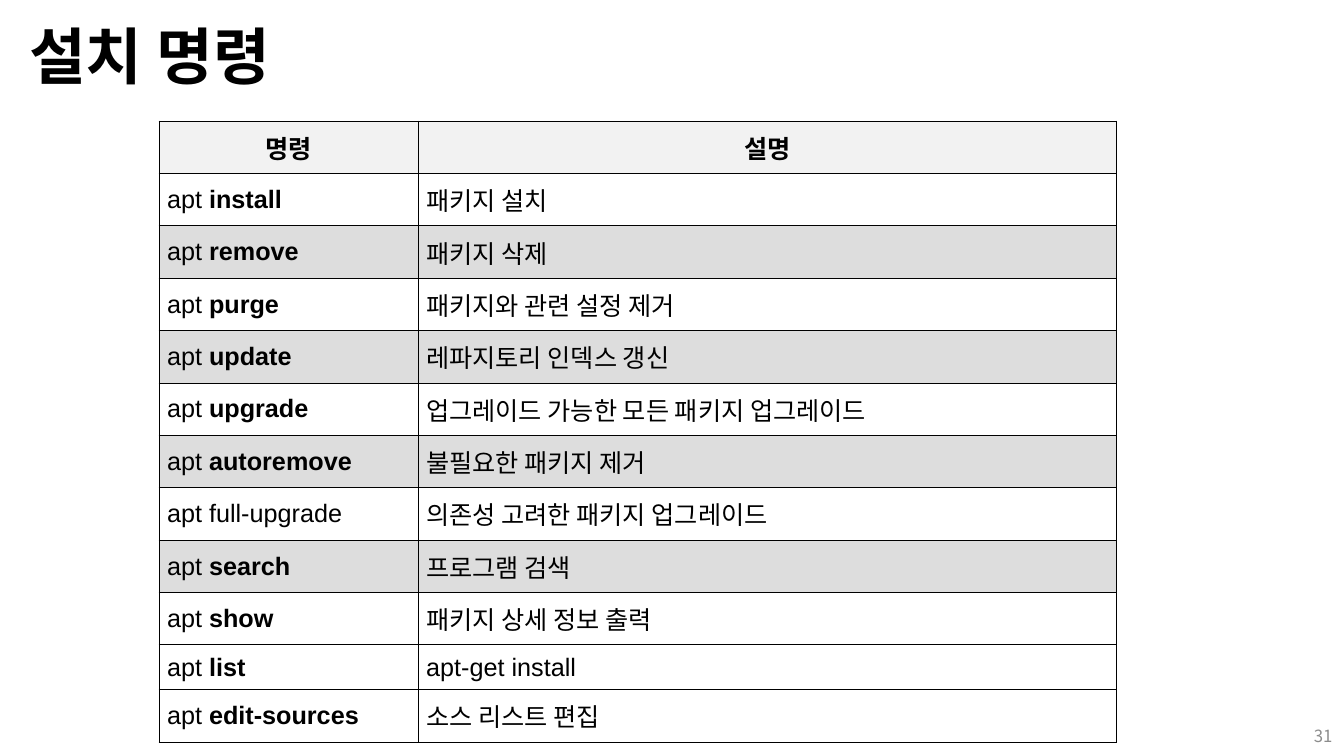
from dataclasses import dataclass

from lxml.etree import SubElement
from pptx import Presentation
from pptx.dml.color import RGBColor
from pptx.enum.text import MSO_ANCHOR as Anchor, MSO_AUTO_SIZE as AutoSize, PP_ALIGN as Align
from pptx.oxml import parse_xml
from pptx.oxml.ns import nsdecls, qn
from pptx.slide import Slide
from pptx.table import _Cell as Cell
from pptx.text.text import _Run as Run
from pptx.util import Cm, Pt


@dataclass(frozen=True)
class Theme:
    latin_font: str = "Arial"
    korean_font: str = "Noto Sans CJK KR"
    title_size: int = 44
    table_size: int = 18
    number_size: int = 12
    ink: str = "000000"
    muted: str = "8C8C8C"
    header_fill: str = "F2F2F2"
    plain_fill: str = "FFFFFF"
    shaded_fill: str = "DDDDDD"
    border: str = "000000"
    border_width: float = 0.75


@dataclass(frozen=True)
class Command:
    name: str
    description: str
    emphasized: bool = True
    shaded: bool = False


THEME = Theme()
COMMANDS = [
    Command("install", "패키지 설치"),
    Command("remove", "패키지 삭제", shaded=True),
    Command("purge", "패키지와 관련 설정 제거"),
    Command("update", "레파지토리 인덱스 갱신", shaded=True),
    Command("upgrade", "업그레이드 가능한 모든 패키지 업그레이드"),
    Command("autoremove", "불필요한 패키지 제거", shaded=True),
    Command("full-upgrade", "의존성 고려한 패키지 업그레이드", emphasized=False),
    Command("search", "프로그램 검색", shaded=True),
    Command("show", "패키지 상세 정보 출력"),
    Command("list", "apt-get install"),
    Command("edit-sources", "소스 리스트 편집"),
]
COLUMN_WIDTHS = [Cm(6.53), Cm(17.6)]
ROW_HEIGHT = Cm(1.13)
CELL_MARGIN = Cm(0.2)


def format_run(run: Run, font_name: str, size: float, color: str, bold: bool = False) -> None:
    run.font.name = font_name
    run.font.size = Pt(size)
    run.font.bold = bold
    run.font.color.rgb = RGBColor.from_string(color)
    SubElement(run.font._element, qn("a:ea")).set("typeface", THEME.korean_font)


def add_borders(cell: Cell) -> None:
    properties = cell._tc.get_or_add_tcPr()
    for position, side in enumerate("LRTB"):
        line = parse_xml(
            f'<a:ln{side} {nsdecls("a")} w="{Pt(THEME.border_width)}">'
            f'<a:solidFill><a:srgbClr val="{THEME.border}"/></a:solidFill></a:ln{side}>'
        )
        properties.insert(position, line)


def fill_cell(cell: Cell, parts: list[tuple[str, bool]], fill: str, align: Align) -> None:
    cell.vertical_anchor = Anchor.MIDDLE
    cell.margin_left = cell.margin_right = CELL_MARGIN
    cell.margin_top = cell.margin_bottom = CELL_MARGIN
    cell.fill.solid()
    cell.fill.fore_color.rgb = RGBColor.from_string(fill)
    add_borders(cell)
    paragraph = cell.text_frame.paragraphs[0]
    paragraph.alignment = align
    for text, bold in parts:
        run = paragraph.add_run()
        run.text = text
        format_run(run, THEME.latin_font, THEME.table_size, THEME.ink, bold)


def add_title(slide: Slide, text: str) -> None:
    title = slide.shapes.title
    title.left, title.top, title.width, title.height = Cm(0.48), Cm(0.48), Cm(32.84), Cm(2.06)
    frame = title.text_frame
    frame.text = text
    frame.auto_size = AutoSize.NONE
    frame.vertical_anchor = Anchor.MIDDLE
    paragraph = frame.paragraphs[0]
    paragraph.alignment = Align.LEFT
    paragraph.line_spacing = 0.9
    format_run(paragraph.runs[0], THEME.korean_font, THEME.title_size, THEME.ink, True)


def add_command_table(slide: Slide, commands: list[Command]) -> None:
    row_count = len(commands) + 1
    table = slide.shapes.add_table(
        row_count, len(COLUMN_WIDTHS), Cm(4.01), Cm(3.05), sum(COLUMN_WIDTHS), ROW_HEIGHT * row_count
    ).table
    table.first_row = table.horz_banding = False
    for column, width in zip(table.columns, COLUMN_WIDTHS):
        column.width = width
    for index, heading in enumerate(["명령", "설명"]):
        fill_cell(table.cell(0, index), [(heading, True)], THEME.header_fill, Align.CENTER)
    for row, command in enumerate(commands, start=1):
        fill = THEME.shaded_fill if command.shaded else THEME.plain_fill
        name_parts = [("apt ", False), (command.name, command.emphasized)]
        fill_cell(table.cell(row, 0), name_parts, fill, Align.LEFT)
        fill_cell(table.cell(row, 1), [(command.description, False)], fill, Align.LEFT)


def add_page_number(slide: Slide, number: int) -> None:
    frame = slide.shapes.add_textbox(Cm(32.56), Cm(18.03), Cm(1.27), Cm(1.02)).text_frame
    frame.word_wrap = True
    frame.vertical_anchor = Anchor.MIDDLE
    frame.text = str(number)
    paragraph = frame.paragraphs[0]
    paragraph.alignment = Align.RIGHT
    format_run(paragraph.runs[0], THEME.korean_font, THEME.number_size, THEME.muted)


def main() -> None:
    presentation = Presentation()
    presentation.slide_width, presentation.slide_height = Cm(33.87), Cm(19.05)
    slide = presentation.slides.add_slide(presentation.slide_layouts[5])
    add_title(slide, "설치 명령")
    add_command_table(slide, COMMANDS)
    add_page_number(slide, 31)
    presentation.save("out.pptx")


if __name__ == "__main__":
    main()
